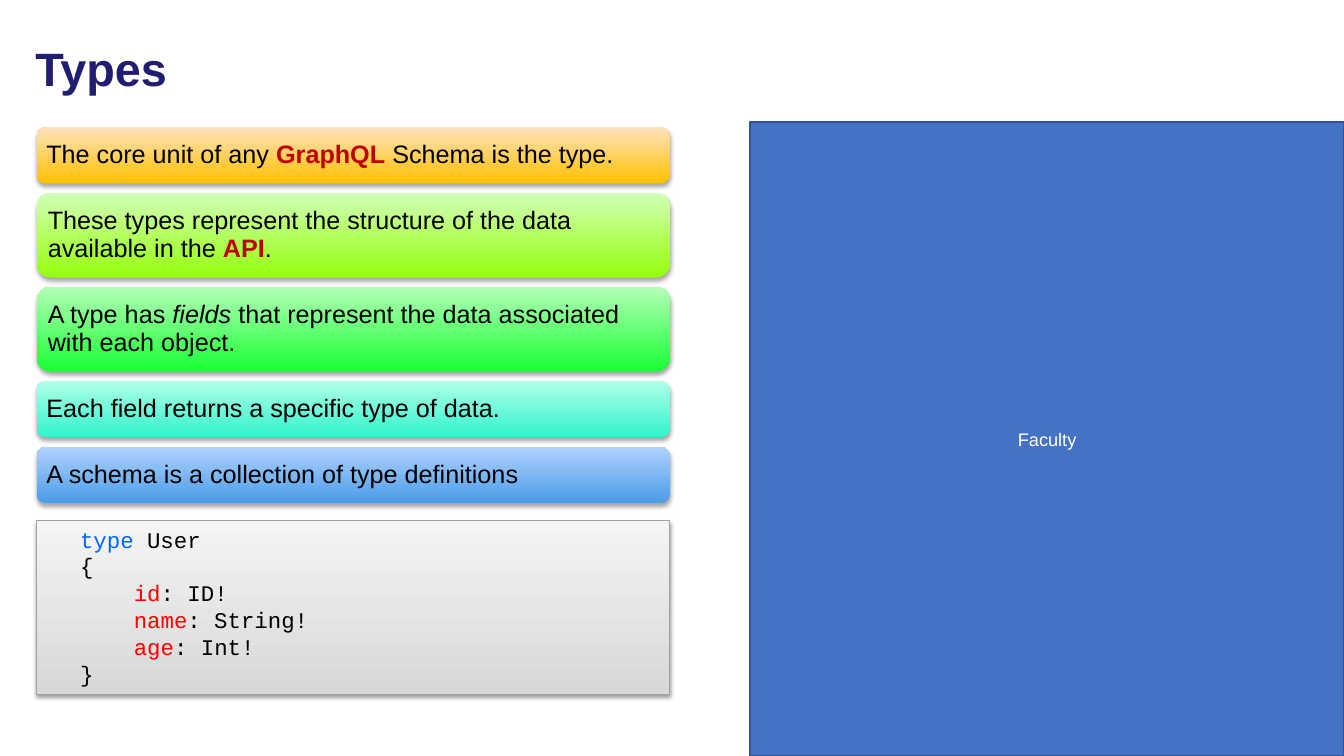
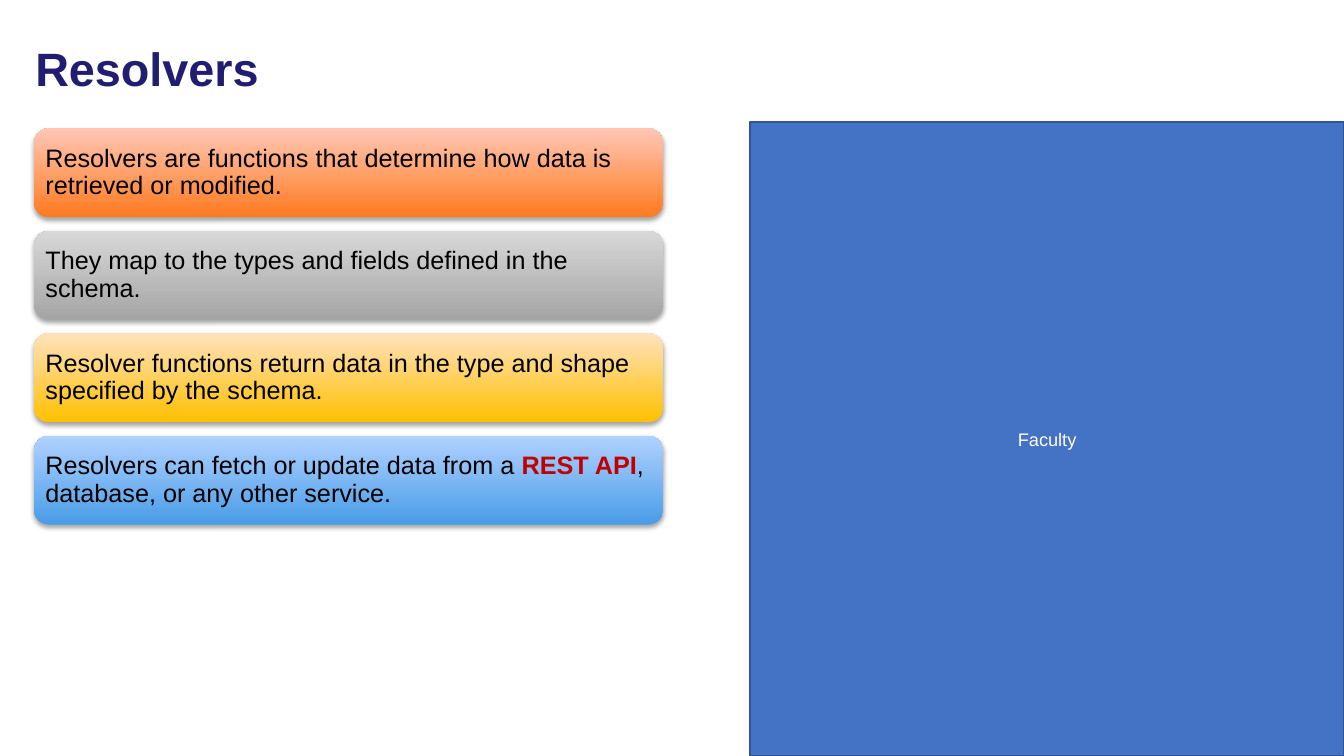
from dataclasses import dataclass

from lxml.etree import SubElement
from pptx import Presentation
from pptx.dml.color import RGBColor
from pptx.enum.shapes import MSO_SHAPE as Preset
from pptx.enum.text import MSO_ANCHOR as Anchor, MSO_AUTO_SIZE as AutoSize, PP_ALIGN as Align
from pptx.oxml.ns import qn
from pptx.util import Pt


@dataclass(frozen=True)
class Theme:
    font: str = "Arial"
    code_font: str = "Courier New"
    title_size: float = 33.4
    card_size: float = 18
    code_size: float = 16
    panel_size: float = 13
    title: str = "211D70"
    text: str = "000000"
    accent: str = "C00000"
    keyword: str = "0066FF"
    field: str = "FF0000"
    panel: str = "4472C4"
    panel_line: str = "325491"
    panel_text: str = "FFFFFF"
    code_line: str = "A1A1A1"
    # Gradients run from the bottom colour to the top colour.
    amber: tuple = ("FFC000", "FFE2BD")
    lime: tuple = ("96FF0C", "D1FFB7")
    green: tuple = ("19FF33", "B3FFB6")
    aqua: tuple = ("2FF4CC", "B1FFE9")
    blue: tuple = ("499CE7", "B0D2FF")
    orange: tuple = ("FF7A1F", "FFC7B6")
    grey: tuple = ("A5A5A5", "D8D8D8")
    silver: tuple = ("D8D8D8", "F4F4F4")


THEME = Theme()
SLIDE_SIZE = (960, 540)
TITLE_BOX = (18, 18, 850, 65.5)
PANEL_BOX = (535.7, 87.1, 424.5, 452.9)
CODE_INDENT = 38.4


def rgb(value):
    return RGBColor.from_string(value)


def strong(text):
    return text, {"bold": True, "color": THEME.accent}


def write(frame, spans, *, size, color=THEME.text, font=THEME.font, bold=False,
          italic=False, align=Align.LEFT, spacing=1.0, indent=0, new_para=False):
    """Write one paragraph; a span is a string or (text, changed formats)."""
    para = frame.add_paragraph() if new_para else frame.paragraphs[0]
    para.alignment = align
    para.line_spacing = spacing
    if indent:
        para._p.get_or_add_pPr().set("marL", str(Pt(indent)))
    base = {"color": color, "bold": bold, "italic": italic}
    for span in spans:
        text, changes = (span, {}) if isinstance(span, str) else span
        style = base | changes
        run = para.add_run()
        run.text = text
        run.font.name = font
        run.font.size = Pt(size)
        run.font.bold = style["bold"]
        run.font.italic = style["italic"]
        run.font.color.rgb = rgb(style["color"])


def add_block(page, preset, box, anchor=Anchor.MIDDLE):
    shape = page.shapes.add_shape(preset, *map(Pt, box))
    shape.shadow.inherit = False
    frame = shape.text_frame
    frame.word_wrap = True
    frame.vertical_anchor = anchor
    return shape


def shade(shape, gradient):
    shape.fill.gradient()
    shape.fill.gradient_angle = 90
    for stop, color in zip(shape.fill.gradient_stops, gradient):
        stop.color.rgb = rgb(color)


def cast_shadow(shape, distance, opacity):
    effects = shape.element.spPr.find(qn("a:effectLst"))
    shadow = SubElement(effects, qn("a:outerShdw"), blurRad=str(Pt(3.1)),
                        dist=str(Pt(distance)), dir="5400000", rotWithShape="0")
    color = SubElement(shadow, qn("a:srgbClr"), val="000000")
    SubElement(color, qn("a:alpha"), val=str(opacity * 1000))


def outline(shape, color, width):
    shape.line.color.rgb = rgb(color)
    shape.line.width = Pt(width)


def set_up_layout(layout, page):
    """Place the title on the layout and move the side panel there from a page."""
    title = layout.placeholders[0]
    title.left, title.top, title.width, title.height = map(Pt, TITLE_BOX)
    panel = add_block(page, Preset.RECTANGLE, PANEL_BOX)
    panel.fill.solid()
    panel.fill.fore_color.rgb = rgb(THEME.panel)
    outline(panel, THEME.panel_line, 2)
    write(panel.text_frame, ["Faculty"], size=THEME.panel_size,
          color=THEME.panel_text, align=Align.CENTER)
    panel.element.xpath(".//p:cNvPr")[0].set("id", "20")
    layout.shapes.element.append(panel.element)


def add_title(page, text):
    frame = page.shapes.title.text_frame
    frame.auto_size = AutoSize.NONE
    frame.vertical_anchor = Anchor.MIDDLE
    write(frame, [text], size=THEME.title_size, color=THEME.title, bold=True, spacing=0.9)


def add_cards(page, left, top, width, gap, cards):
    """Stack cards, each given as (height, gradient, spans)."""
    for height, gradient, spans in cards:
        card = add_block(page, Preset.ROUNDED_RECTANGLE, (left, top, width, height))
        shade(card, gradient)
        card.line.fill.background()
        cast_shadow(card, distance=1.8, opacity=35)
        frame = card.text_frame
        frame.margin_left = frame.margin_right = Pt(5)
        frame.margin_top = frame.margin_bottom = Pt(5)
        write(frame, spans, size=THEME.card_size, spacing=0.9)
        top += height + gap


def add_code(page, box, lines):
    """Show code lines, each given as (depth, spans)."""
    block = add_block(page, Preset.RECTANGLE, box, Anchor.TOP)
    shade(block, THEME.silver)
    outline(block, THEME.code_line, 0.75)
    cast_shadow(block, distance=1.6, opacity=38)
    block.text_frame.margin_left = Pt(31)
    for number, (depth, spans) in enumerate(lines):
        write(block.text_frame, spans, size=THEME.code_size, font=THEME.code_font,
              indent=depth * CODE_INDENT, new_para=number > 0)


def fill_types(page):
    add_title(page, "Types")
    one_line, two_lines = 40.3, 60.5
    add_cards(page, 26.2, 90.8, 452.2, 6.7, [
        (one_line, THEME.amber,
         ["The core unit of any ", strong("GraphQL"), " Schema is the type."]),
        (two_lines, THEME.lime,
         ["These types represent the structure of the data available in the ",
          strong("API"), "."]),
        (two_lines, THEME.green,
         ["A type has ", ("fields ", {"italic": True}),
          "that represent the data associated with each object."]),
        (one_line, THEME.aqua, ["Each field returns a specific type of data."]),
        (one_line, THEME.blue, ["A schema is a collection of type definitions"]),
    ])
    fields = [("id", "ID"), ("name", "String"), ("age", "Int")]
    add_code(page, (26.2, 372, 452.2, 123.8), [
        (0, [("type", {"color": THEME.keyword}), " User"]),
        (0, ["{"]),
        *((1, [(name, {"color": THEME.field}), f": {kind}!"]) for name, kind in fields),
        (0, ["}"]),
    ])


def fill_resolvers(page):
    add_title(page, "Resolvers")
    height = 63.5
    add_cards(page, 24.4, 91.7, 449.3, 9.7, [
        (height, THEME.orange,
         ["Resolvers are functions that determine how data is retrieved or modified."]),
        (height, THEME.grey, ["They map to the types and fields defined in the schema."]),
        (height, THEME.amber,
         ["Resolver functions return data in the type and shape specified by the schema."]),
        (height, THEME.blue,
         ["Resolvers can fetch or update data from a ", strong("REST API"),
          ", database, or any other service."]),
    ])


def main():
    deck = Presentation()
    deck.slide_width, deck.slide_height = map(Pt, SLIDE_SIZE)
    layout = deck.slide_layouts.get_by_name("Title Only")
    types, resolvers = (deck.slides.add_slide(layout) for _ in range(2))
    set_up_layout(layout, types)
    fill_types(types)
    fill_resolvers(resolvers)
    deck.save("out.pptx")


if __name__ == "__main__":
    main()
